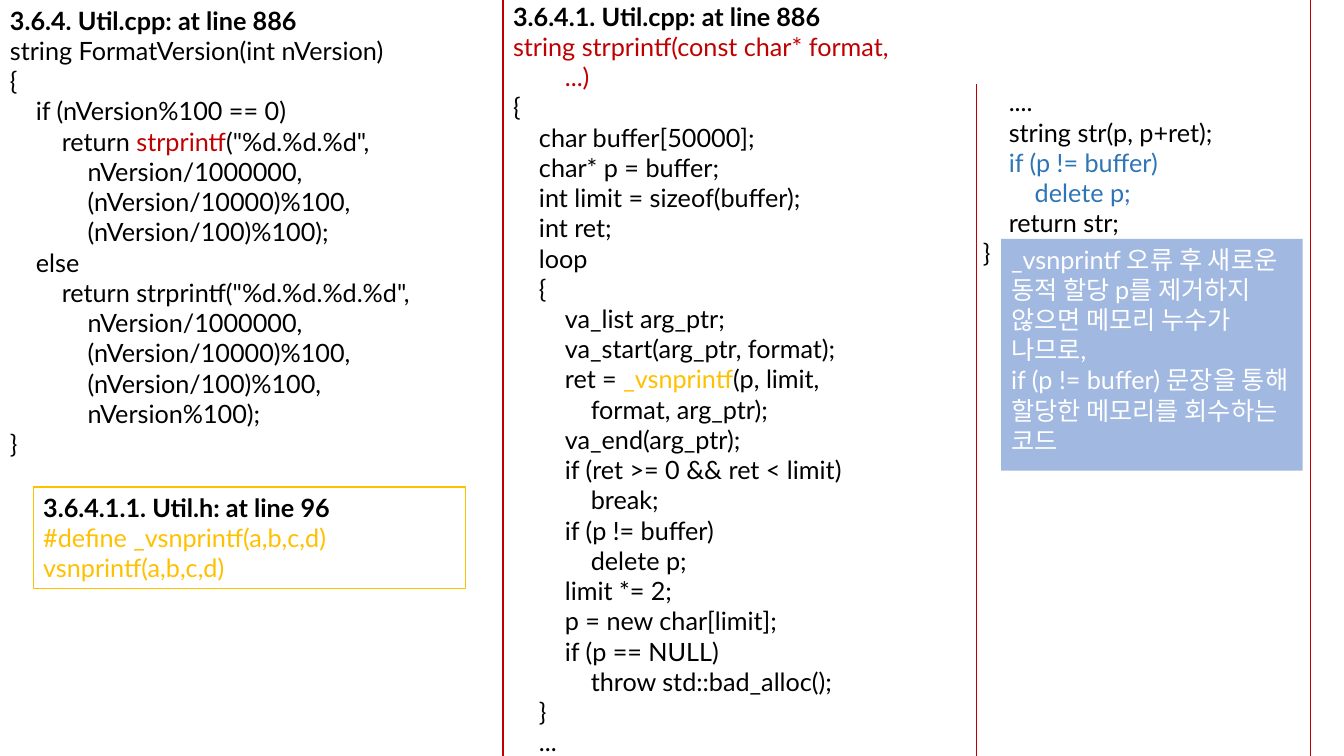
"""Build a code-walkthrough slide: three listings, a macro definition and a callout."""
from lxml import etree
from pptx import Presentation
from pptx.dml.color import RGBColor
from pptx.enum.shapes import MSO_CONNECTOR, MSO_SHAPE
from pptx.enum.text import MSO_ANCHOR, PP_ALIGN
from pptx.oxml.ns import qn
from pptx.util import Inches, Pt

RECTANGLE = MSO_SHAPE.RECTANGLE
STRAIGHT = MSO_CONNECTOR.STRAIGHT
TOP = MSO_ANCHOR.TOP
LEFT = PP_ALIGN.LEFT

FORMAT_VERSION = [
    (0, "3.6.4. Util.cpp: at line 886", "heading"),
    (0, "string FormatVersion(int nVersion)"),
    (0, "{"),
    (1, "if (nVersion%100 == 0)"),
    (2, 'return strprintf("%d.%d.%d",', "call", "strprintf"),
    (3, "nVersion/1000000,"),
    (3, "(nVersion/10000)%100,"),
    (3, "(nVersion/100)%100);"),
    (1, "else"),
    (2, 'return strprintf("%d.%d.%d.%d",'),
    (3, "nVersion/1000000,"),
    (3, "(nVersion/10000)%100,"),
    (3, "(nVersion/100)%100,"),
    (3, "nVersion%100);"),
    (0, "}"),
]
STRPRINTF_START = [
    (0, "3.6.4.1. Util.cpp: at line 886", "heading"),
    (0, "string strprintf(const char* format,", "call"),
    (2, "...)", "call"),
    (0, "{"),
    (1, "char buffer[50000];"),
    (1, "char* p = buffer;"),
    (1, "int limit = sizeof(buffer);"),
    (1, "int ret;"),
    (1, "loop"),
    (1, "{"),
    (2, "va_list arg_ptr;"),
    (2, "va_start(arg_ptr, format);"),
    (2, "ret = _vsnprintf(p, limit,", "macro", "_vsnprintf"),
    (3, "format, arg_ptr);"),
    (2, "va_end(arg_ptr);"),
    (2, "if (ret >= 0 && ret < limit)"),
    (3, "break;"),
    (2, "if (p != buffer)"),
    (3, "delete p;"),
    (2, "limit *= 2;"),
    (2, "p = new char[limit];"),
    (2, "if (p == NULL)"),
    (3, "throw std::bad_alloc();"),
    (1, "}"),
    (1, "..."),
]
STRPRINTF_END = [
    (1, "...."),
    (1, "string str(p, p+ret);"),
    (1, "if (p != buffer)", "cleanup"),
    (2, "delete p;", "cleanup"),
    (1, "return str;"),
    (0, "}"),
]
MACRO = [
    (0, "3.6.4.1.1. Util.h: at line 96", "heading"),
    (0, "#define _vsnprintf(a,b,c,d) vsnprintf(a,b,c,d)", "macro"),
]
LEAK_NOTE = [
    (0, "_vsnprintf 오류 후 새로운 동적 할당 p를 제거하지 않으면 메모리 누수가 나므로,", "note"),
    (0, "if (p != buffer) 문장을 통해 할당한 메모리를 회수하는 코드", "note"),
]

THEME = {
    "font": "Lato", "size": 18, "indent": 0.257, "border": 1, "divider": 0.5, "alpha": 50,
    "colors": {
        "paper": "FFFFFF", "code": "000000", "heading": "000000", "call": "C00000",
        "macro": "FFC000", "cleanup": "2E75B6", "note": "FFFFFF", "callout": "4472C4",
    },
}
SLIDE_W, SLIDE_H = 13.33, 7.5
MIDDLE = 4.99
PANELS = [
    (FORMAT_VERSION, (0, 0, MIDDLE, 4.64), "paper", None),
    (STRPRINTF_START, (MIDDLE, -0.04, 8.01, 7.98), "paper", "call"),
    (STRPRINTF_END, (9.65, 0.81, 3.32, 1.92), "paper", None),
    (MACRO, (0.33, 4.83, 4.29, 1.01), "paper", "macro"),
    (LEAK_NOTE, (9.93, 2.37, 2.99, 2.3), "callout", None),
]
DIVIDER = (9.68, 0.83, 9.68, SLIDE_H)


def color(role):
    """Return the theme colour of a role."""
    return RGBColor.from_string(THEME["colors"][role])


def apply(target, values):
    """Set each named attribute on the target."""
    for name, value in values.items():
        setattr(target, name, value)


def write_line(paragraph, level, text, role="code", word=None):
    """Write one indented line, colouring the given word or all of it."""
    paragraph.alignment = LEFT
    indent = Inches(level * THEME["indent"])
    apply_xml = {"marL": str(indent), "indent": "0"}
    for name, value in apply_xml.items():
        paragraph._p.get_or_add_pPr().set(name, value)
    before, marked, after = text.partition(word or text)
    for part, part_role in ((before, "code"), (marked, role), (after, "code")):
        if part:
            run = paragraph.add_run()
            run.text = part
            apply(run.font, {"name": THEME["font"], "size": Pt(THEME["size"]),
                             "bold": part_role == "heading"})
            run.font.color.rgb = color(part_role)


def add_panel(slide, lines, place, fill, border):
    """Add a filled rectangle holding the lines."""
    panel = slide.shapes.add_shape(RECTANGLE, *map(Inches, place))
    panel.shadow.inherit = False
    panel.fill.solid()
    panel.fill.fore_color.rgb = color(fill)
    if fill == "callout":
        shade = panel._element.spPr.find(qn("a:solidFill"))[0]
        etree.SubElement(shade, qn("a:alpha")).set("val", str(THEME["alpha"] * 1000))
    if border:
        panel.line.color.rgb = color(border)
        panel.line.width = Pt(THEME["border"])
    else:
        panel.line.fill.background()
    frame = panel.text_frame
    apply(frame, {"word_wrap": True, "vertical_anchor": TOP})
    for index, line in enumerate(lines):
        write_line(frame.add_paragraph() if index else frame.paragraphs[0], *line)


def add_divider(slide):
    """Add the thin rule between the two parts of the long listing."""
    divider = slide.shapes.add_connector(STRAIGHT, *map(Inches, DIVIDER))
    divider.line.color.rgb = color("call")
    divider.line.width = Pt(THEME["divider"])
    etree.SubElement(divider._element.spPr, qn("a:effectLst"))


deck = Presentation()
apply(deck, {"slide_width": Inches(SLIDE_W), "slide_height": Inches(SLIDE_H)})
walkthrough = deck.slides.add_slide(deck.slide_layouts[6])
for panel_values in PANELS:
    add_panel(walkthrough, *panel_values)
add_divider(walkthrough)
deck.save("out.pptx")
